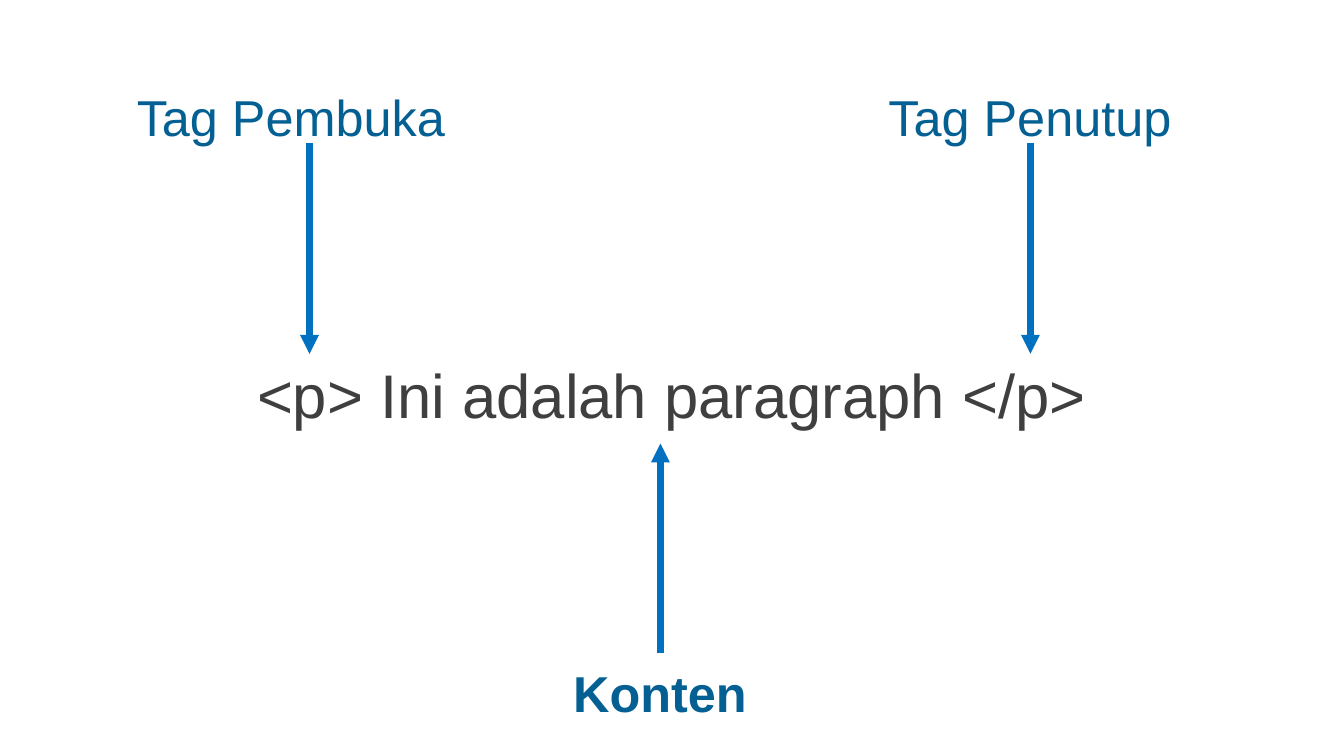
from dataclasses import dataclass

from lxml import etree
from pptx import Presentation
from pptx.dml.color import RGBColor
from pptx.enum.shapes import MSO_CONNECTOR
from pptx.enum.text import MSO_ANCHOR, MSO_AUTO_SIZE, PP_ALIGN
from pptx.oxml.ns import qn
from pptx.util import Inches, Pt

STRAIGHT = MSO_CONNECTOR.STRAIGHT
TOP = MSO_ANCHOR.TOP
GROW = MSO_AUTO_SIZE.SHAPE_TO_FIT_TEXT
CENTER = PP_ALIGN.CENTER


@dataclass(frozen=True)
class Theme:
    font: str = "Arial"
    code_color: str = "3F3F3F"
    label_color: str = "046093"
    arrow_color: str = "0070C0"
    code_size: int = 44
    label_size: int = 36
    arrow_width: float = 4.5
    line_spacing: float = 1.3


theme = Theme()
SLIDE_WIDTH, SLIDE_HEIGHT = 13.33, 7.5
LABEL_WIDTH, LABEL_HEIGHT = 4.05, 0.81
LABEL_TOP = 0.62

deck = Presentation()
deck.slide_width = Inches(SLIDE_WIDTH)
deck.slide_height = Inches(SLIDE_HEIGHT)
page = deck.slides.add_slide(deck.slide_layouts[6])


def add_text(text, *, left, top, width=LABEL_WIDTH, height=LABEL_HEIGHT,
             size=theme.label_size, color=theme.label_color, bold=False):
    box = page.shapes.add_textbox(
        Inches(left), Inches(top), Inches(width), Inches(height))
    frame = box.text_frame
    frame.word_wrap = True
    frame.auto_size = GROW
    frame.vertical_anchor = TOP
    para = frame.paragraphs[0]
    para.alignment = CENTER
    para.line_spacing = theme.line_spacing
    span = para.add_run()
    span.text = text
    span.font.name = theme.font
    span.font.size = Pt(size)
    span.font.bold = bold
    span.font.color.rgb = RGBColor.from_string(color)


add_text("<p> Ini adalah paragraph </p>", left=0, top=3.27,
         width=SLIDE_WIDTH, height=0.96,
         size=theme.code_size, color=theme.code_color)

for text, left, top, bold in (
    ("Tag Pembuka", 0.86, LABEL_TOP, False),
    ("Tag Penutup", 8.19, LABEL_TOP, False),
    ("Konten", 4.52, 6.34, True),
):
    add_text(text, left=left, top=top, bold=bold)

for center, start, end in ((3.07, 1.42, 3.51), (10.22, 1.42, 3.51), (6.55, 6.48, 4.4)):
    arrow = page.shapes.add_connector(
        STRAIGHT, Inches(center), Inches(start), Inches(center), Inches(end))
    arrow.line.color.rgb = RGBColor.from_string(theme.arrow_color)
    arrow.line.width = Pt(theme.arrow_width)
    properties = arrow.line._get_or_add_ln()
    etree.SubElement(properties, qn("a:tailEnd"), type="triangle")
    etree.SubElement(arrow._element.spPr, qn("a:effectLst"))

deck.save("out.pptx")
